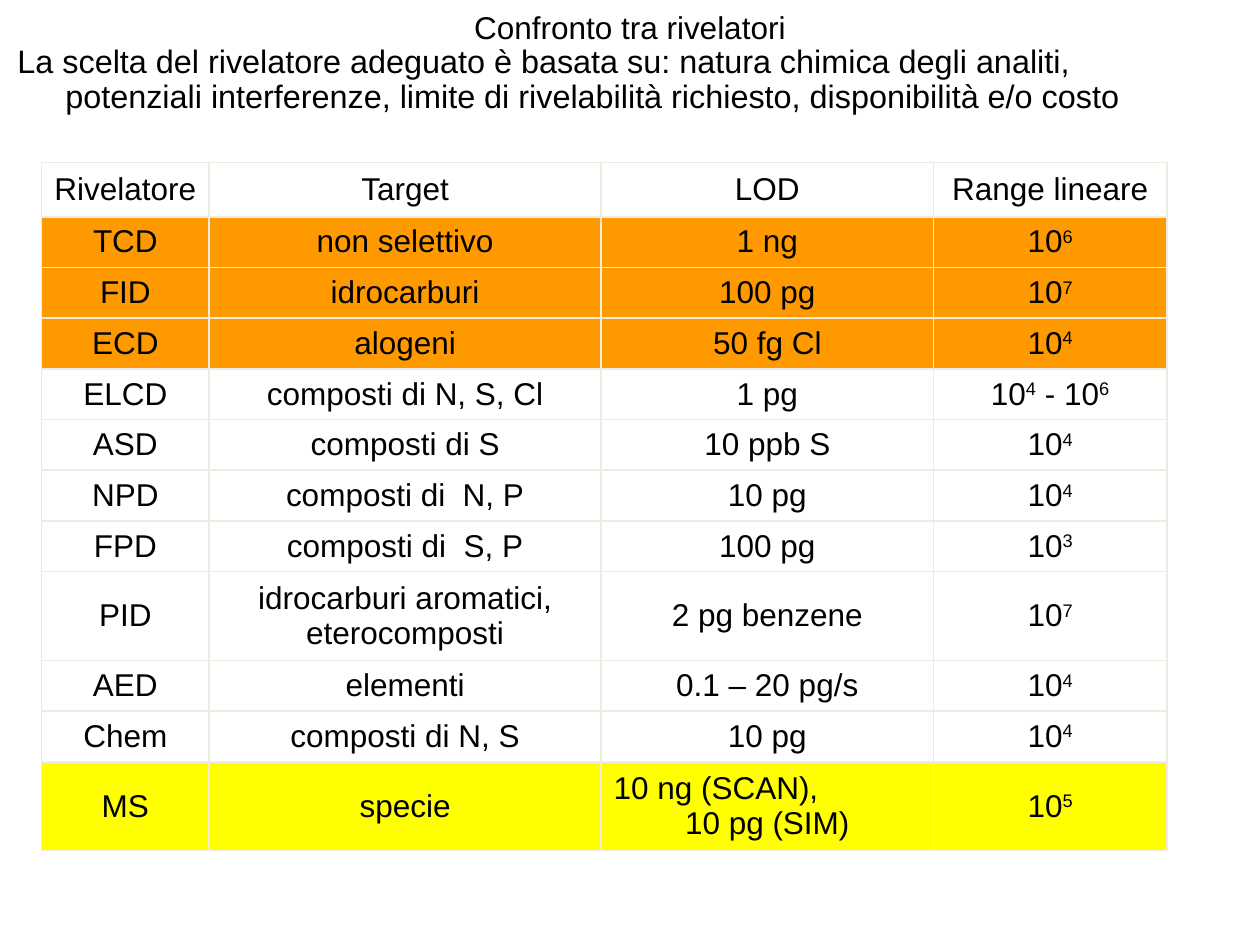
"""Build a slide that compares chromatography detectors in a table."""
from dataclasses import dataclass
from typing import Any, NamedTuple, Optional

import pptx
import pptx.dml.color
import pptx.enum.text
import pptx.oxml
import pptx.oxml.ns
import pptx.util

Align = pptx.enum.text.PP_ALIGN
Anchor = pptx.enum.text.MSO_ANCHOR
RGB = pptx.dml.color.RGBColor.from_string


@dataclass(frozen=True)
class Theme:
    """Colours and type sizes of the slide."""

    font: str = "Arial"
    text: str = "000000"
    border: str = "EEECE1"
    orange: str = "FF9900"
    yellow: str = "FFFF00"
    size: float = 18
    intro_size: float = 18.5
    border_width: float = 1.08


class Box(NamedTuple):
    """A frame given in percent of the slide's width and height."""

    left: float
    top: float
    width: float
    height: float


class Detector(NamedTuple):
    """One table row; text between carets is superscript."""

    name: str
    target: str
    lod: str
    linear_range: str
    fill: Optional[str] = None


THEME = Theme()
WIDTH, HEIGHT = pptx.util.Inches(10), pptx.util.Inches(7.5)
COLUMNS = (13.3, 31.1, 26.4, 18.5)
HEADER_ROW, SINGLE_ROW, DOUBLE_ROW = 5.73, 5.37, 9.4
TALL_ROWS = ("PID", "MS")
TITLE_BOX = Box(7.5, 0.67, 85, 4.4)
INTRO_BOX = Box(0.4, 4.13, 96.9, 10.13)
TABLE_LEFT, TABLE_TOP = 3.3, 17.2

INTRO = (
    "La scelta del rivelatore adeguato è basata su: natura chimica degli analiti, "
    "potenziali interferenze, limite di rivelabilità richiesto, disponibilità e/o costo"
)
DETECTORS = (
    Detector("Rivelatore", "Target", "LOD", "Range lineare"),
    Detector("TCD", "non selettivo", "1 ng", "10^6^", THEME.orange),
    Detector("FID", "idrocarburi", "100 pg", "10^7^", THEME.orange),
    Detector("ECD", "alogeni", "50 fg Cl", "10^4^", THEME.orange),
    Detector("ELCD", "composti di N, S, Cl", "1 pg", "10^4^ - 10^6^"),
    Detector("ASD", "composti di S", "10 ppb S", "10^4^"),
    Detector("NPD", "composti di  N, P", "10 pg", "10^4^"),
    Detector("FPD", "composti di  S, P", "100 pg", "10^3^"),
    Detector("PID", "idrocarburi aromatici, eterocomposti", "2 pg benzene", "10^7^"),
    Detector("AED", "elementi", "0.1 – 20 pg/s", "10^4^"),
    Detector("Chem", "composti di N, S", "10 pg", "10^4^"),
    Detector("MS", "specie", "10 ng (SCAN),\n10 pg (SIM)", "10^5^", THEME.yellow),
)


def across(share: float) -> int:
    """Turn a percentage of the slide's width into a length."""
    return round(WIDTH * share / 100)


def down(share: float) -> int:
    """Turn a percentage of the slide's height into a length."""
    return round(HEIGHT * share / 100)


def write(tf: Any, text: str, *, size: float = THEME.size, align: Any = Align.CENTER,
          spacing: Optional[float] = None, hanging: float = 0) -> None:
    """Write paragraphs, raising the text between carets."""
    for i, line in enumerate(text.split("\n")):
        p = tf.paragraphs[0] if i == 0 else tf.add_paragraph()
        p.alignment = align
        if spacing:
            p.line_spacing = spacing
        if hanging:
            p._p.get_or_add_pPr().set("marL", str(across(hanging)))
            p._p.get_or_add_pPr().set("indent", str(-across(hanging)))
        for j, part in enumerate(line.split("^")):
            if not part:
                continue
            r = p.add_run()
            r.text = part
            r.font.name, r.font.size = THEME.font, pptx.util.Pt(size)
            r.font.color.rgb = RGB(THEME.text)
            if j % 2:
                r.font._element.set("baseline", "30000")


def add_text(s: Any, box: Box, text: str, *, anchor: Any = Anchor.TOP, **fmt: Any) -> None:
    """Add a wrapped text box."""
    sp = s.shapes.add_textbox(across(box.left), down(box.top), across(box.width), down(box.height))
    tf = sp.text_frame
    tf.word_wrap, tf.vertical_anchor = True, anchor
    if anchor == Anchor.MIDDLE:
        tf.margin_top = tf.margin_bottom = 0
    write(tf, text, **fmt)


def style_cell(cell: Any, fill: Optional[str]) -> None:
    """Set a cell's fill, anchor and four borders."""
    cell.vertical_anchor = Anchor.MIDDLE
    if fill:
        cell.fill.solid()
        cell.fill.fore_color.rgb = RGB(fill)
    else:
        cell.fill.background()
    for i, side in enumerate("LRTB"):
        line = pptx.oxml.parse_xml(
            f'<a:ln{side} {pptx.oxml.ns.nsdecls("a")} w="{pptx.util.Pt(THEME.border_width)}">'
            f'<a:solidFill><a:srgbClr val="{THEME.border}"/></a:solidFill></a:ln{side}>')
        cell._tc.get_or_add_tcPr().insert(i, line)


def add_detector_table(s: Any) -> None:
    """Add the table of detectors."""
    heights = [HEADER_ROW] + [DOUBLE_ROW if d.name in TALL_ROWS else SINGLE_ROW
                              for d in DETECTORS[1:]]
    table = s.shapes.add_table(len(DETECTORS), len(COLUMNS), across(TABLE_LEFT), down(TABLE_TOP),
                               across(sum(COLUMNS)), down(sum(heights))).table
    table.first_row = table.horz_banding = False
    for column, width in zip(table.columns, COLUMNS):
        column.width = across(width)
    for row, height, detector in zip(table.rows, heights, DETECTORS):
        row.height = down(height)
        for cell, text in zip(row.cells, detector[:len(COLUMNS)]):
            write(cell.text_frame, text)
            if "\n" in text:
                cell.text_frame.paragraphs[0].alignment = Align.LEFT
            style_cell(cell, detector.fill)


def main() -> None:
    """Build and save the presentation."""
    prs = pptx.Presentation()
    prs.slide_width, prs.slide_height = WIDTH, HEIGHT
    s = prs.slides.add_slide(prs.slide_layouts[6])
    add_text(s, TITLE_BOX, "Confronto tra rivelatori", anchor=Anchor.MIDDLE)
    add_detector_table(s)
    add_text(s, INTRO_BOX, INTRO, size=THEME.intro_size, align=Align.LEFT,
             spacing=0.9, hanging=3.8)
    prs.save("out.pptx")


if __name__ == "__main__":
    main()
